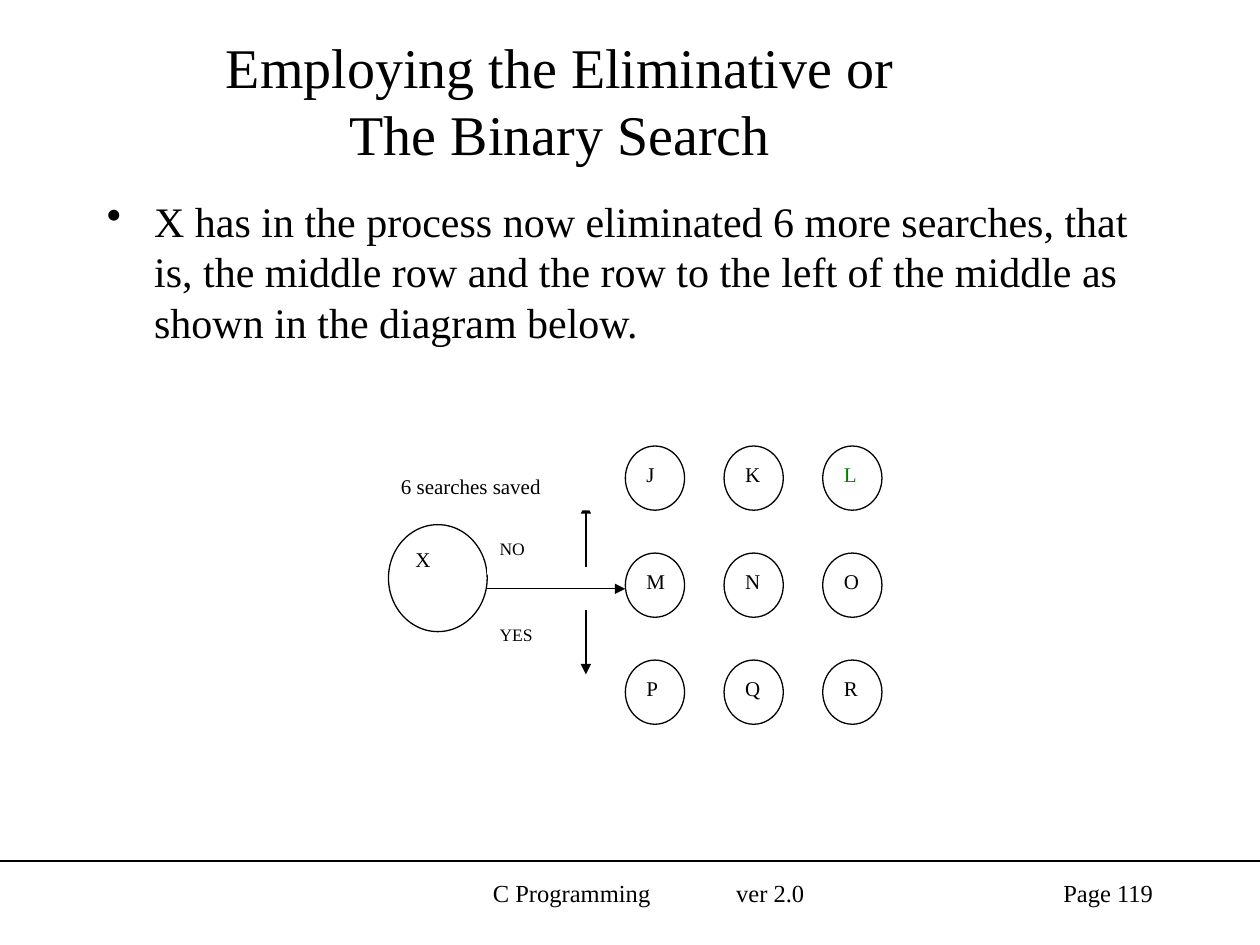
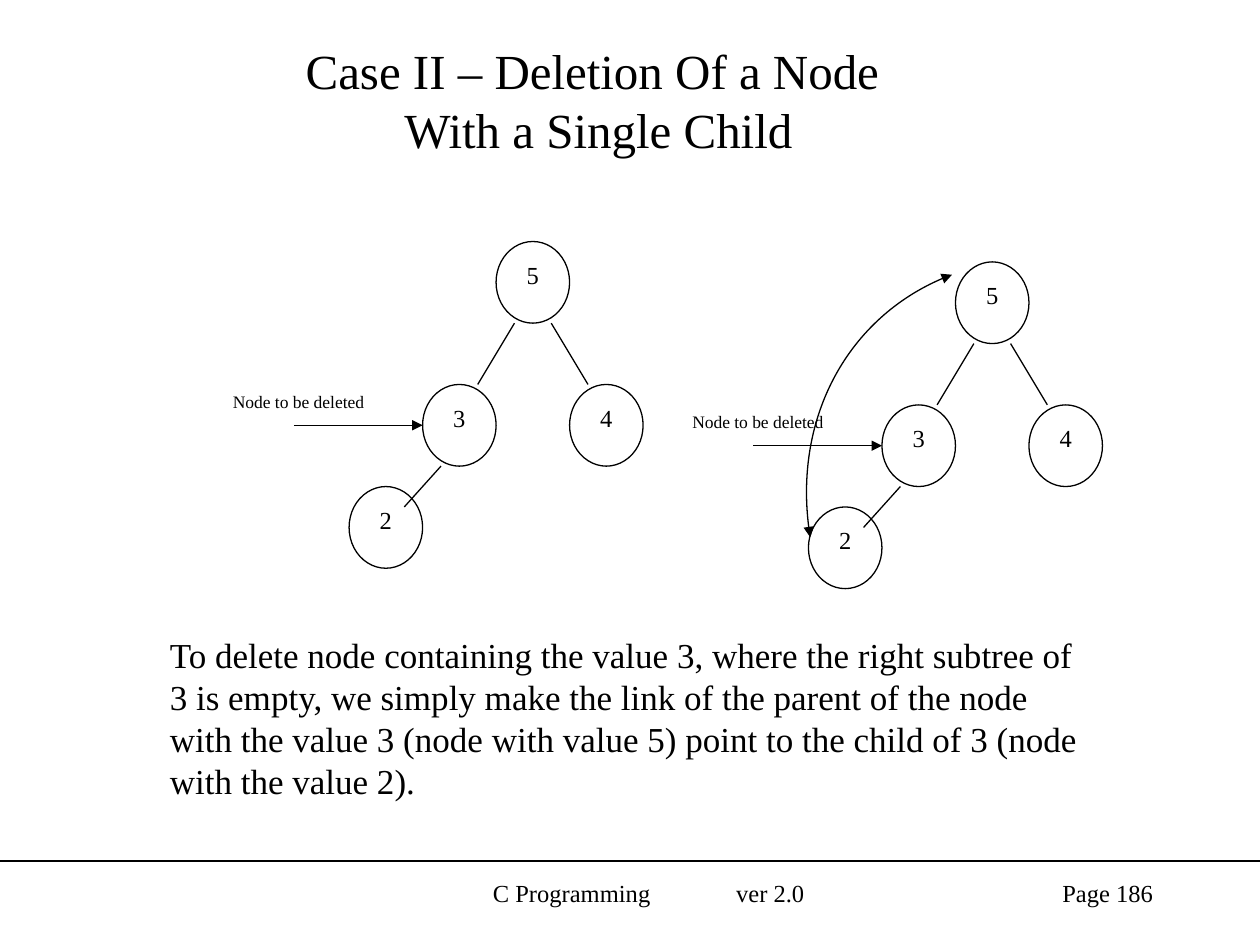
from dataclasses import dataclass
from typing import NamedTuple

from lxml import etree
from pptx import Presentation
from pptx.dml.color import RGBColor
from pptx.enum.shapes import MSO_CONNECTOR as CONN, MSO_SHAPE as SHAPE
from pptx.enum.text import MSO_ANCHOR as ANCHOR, PP_ALIGN as ALIGN
from pptx.oxml.ns import qn
from pptx.util import Pt

FONT = "Times New Roman"
BLACK, WHITE, GREEN = "000000", "FFFFFF", "008000"
LINE_WIDTH = 0.75


class Box(NamedTuple):
    x: float
    y: float
    w: float
    h: float


class Link(NamedTuple):
    x1: float
    y1: float
    x2: float
    y2: float
    arrow: bool = False


@dataclass(frozen=True)
class Style:
    size: float
    color: str = BLACK
    align: ALIGN = ALIGN.LEFT


@dataclass(frozen=True)
class Grid:
    x: float
    y: float
    dx: float
    dy: float

    def box(self, col: float, row: float, cols: float, rows: float) -> Box:
        return Box(self.x + col * self.dx, self.y + row * self.dy,
                   cols * self.dx, rows * self.dy)

    def link(self, ends: Link) -> Link:
        return Link(self.x + ends.x1 * self.dx, self.y + ends.y1 * self.dy,
                    self.x + ends.x2 * self.dx, self.y + ends.y2 * self.dy, ends.arrow)


TITLE_SIZE = Box(0, 18, 612, 78)
FOOTER = Box(246, 498, 246, 36)
PAGE = Box(516, 498, 150, 36)
RULE = Link(0, 492, 720, 492)

SEARCH_GRID = Grid(222, 254.9, 11.28, 12.23)
SEARCH_ROWS = ("JKL", "MNO", "PQR")
SEARCH_ARROWS = (
    Link(5, 6.67, 12, 6.67, True),
    Link(10, 5.67, 10, 2.67, True),
    Link(10, 7.67, 10, 10.67, True),
)

TREE_GRIDS = (Grid(126, 138, 10.5, 11.67), Grid(388.5, 149.67, 10.5, 11.67))
TREE_NODES = (("5", 15, 0), ("4", 19, 7), ("3", 11, 7), ("2", 7, 12))
TREE_LINKS = (
    Link(16, 4, 14, 7),
    Link(18, 4, 20, 7),
    Link(12, 11, 10, 13),
    Link(4, 9, 11, 9, True),
)
NEW_LINK = ((463, 306.7), (452.2, 241.2), (486.7, 177.8), (544.3, 157))


def rgb(color: str) -> RGBColor:
    return RGBColor.from_string(color)


def pts(values: tuple) -> list:
    return [Pt(v) for v in values]


def write(s, text: str, style: Style, anchor: ANCHOR = ANCHOR.TOP):
    tf = s.text_frame
    tf.word_wrap = True
    tf.vertical_anchor = anchor
    p = tf.paragraphs[0]
    p.alignment = style.align
    for i, part in enumerate(text.split("\n")):
        if i:
            p.add_line_break()
        r = p.add_run()
        r.text = part
        r.font.name = FONT
        r.font.size = Pt(style.size)
        r.font.color.rgb = rgb(style.color)
    return p


def add_text(sp, box: Box, text: str, style: Style, anchor: ANCHOR = ANCHOR.TOP):
    s = sp.add_textbox(*pts(box))
    write(s, text, style, anchor)
    return s


def add_node(sp, box: Box, text: str, style: Style) -> None:
    s = sp.add_shape(SHAPE.OVAL, *pts(box))
    s.shadow.inherit = False
    s.fill.solid()
    s.fill.fore_color.rgb = rgb(WHITE)
    set_line(s)
    write(s, text, style)


def add_label(sp, box: Box, text: str, size: float) -> None:
    s = add_text(sp, box, text, Style(size))
    s.fill.solid()
    s.fill.fore_color.rgb = rgb(WHITE)


def set_line(s, *arrow_ends: str) -> None:
    s.line.color.rgb = rgb(BLACK)
    s.line.width = Pt(LINE_WIDTH)
    ln = s.line._get_or_add_ln()
    for end in arrow_ends:
        etree.SubElement(ln, qn(f"a:{end}"), type="triangle")


def add_link(sp, link: Link) -> None:
    s = sp.add_connector(CONN.STRAIGHT, *pts(link[:4]))
    set_line(s, *(["tailEnd"] if link.arrow else []))
    etree.SubElement(s._element.spPr, qn("a:effectLst"))


def add_curve(sp, points: tuple) -> None:
    builder = sp.build_freeform(*points[0], scale=Pt(1))
    builder.add_line_segments(points[1:], close=False)
    s = builder.convert_to_shape()
    s.fill.background()
    set_line(s, "headEnd", "tailEnd")
    s.shadow.inherit = False
    outline = s._element.spPr.find(".//" + qn("a:path"))
    curve = etree.SubElement(outline, qn("a:cubicBezTo"))
    for segment in outline.findall(qn("a:lnTo")):
        curve.append(segment[0])
        outline.remove(segment)


def add_bullet(sp, box: Box, text: str, size: float) -> None:
    p = write(sp.add_textbox(*pts(box)), text, Style(size))
    pPr = p._p.get_or_add_pPr()
    pPr.set("marL", str(Pt(27)))
    pPr.set("indent", str(-Pt(27)))
    etree.SubElement(pPr, qn("a:buChar"), char="•")


def add_footer(sp, page: int) -> None:
    add_link(sp, RULE)
    s = add_text(sp, FOOTER, "C Programming\tver 2.0", Style(14))
    s.text_frame.margin_left = Pt(35.7)
    pPr = s.text_frame.paragraphs[0]._p.get_or_add_pPr()
    tabs = etree.SubElement(pPr, qn("a:tabLst"))
    etree.SubElement(tabs, qn("a:tab"), pos=str(Pt(139)), algn="l")
    add_text(sp, PAGE, f"Page {page}", Style(14, align=ALIGN.RIGHT))


def add_slide(prs, title: str, title_x: float, size: float, page: int):
    sp = prs.slides.add_slide(prs.slide_layouts[6]).shapes
    add_footer(sp, page)
    add_text(sp, TITLE_SIZE._replace(x=title_x), title,
             Style(size, align=ALIGN.CENTER), ANCHOR.MIDDLE)
    return sp


def build_search(prs) -> None:
    sp = add_slide(prs, "Employing the Eliminative or \nThe Binary Search ", 18, 32, 119)
    add_bullet(sp, Box(54, 108, 612, 372),
               "X has in the process now eliminated 6 more searches, that is, the middle row "
               "and the row to the left of the middle as shown in the diagram below.", 24)
    grid = SEARCH_GRID
    for row, letters in enumerate(SEARCH_ROWS):
        for col, letter in enumerate(letters):
            color = GREEN if letter == "L" else BLACK
            add_node(sp, grid.box(12 + 5 * col, 5 * row, 3, 3), letter, Style(12, color))
    add_node(sp, grid.box(0, 3.67, 5, 5), "X", Style(12))
    for arrow in SEARCH_ARROWS:
        add_link(sp, grid.link(arrow))
    add_label(sp, grid.box(0, 1, 11, 2), "6 searches saved", 12)
    add_label(sp, grid.box(5, 4, 4, 2), "NO", 10)
    add_label(sp, grid.box(5, 8, 4, 2), "YES", 10)


def build_deletion(prs) -> None:
    sp = add_slide(prs, "Case II – Deletion Of a Node \nWith a Single Child", 36, 28, 186)
    for grid in TREE_GRIDS:
        add_label(sp, grid.box(0, 7, 12, 2), "Node to be deleted", 10)
        for value, col, row in TREE_NODES:
            add_node(sp, grid.box(col, row, 4, 4), value, Style(14, align=ALIGN.CENTER))
        for link in TREE_LINKS:
            add_link(sp, grid.link(link))
    add_curve(sp, NEW_LINK)
    add_text(sp, Box(90, 358.6, 540, 103.7),
             "To delete node containing the value 3, where the right subtree of 3 is empty, "
             "we simply make the link of the parent of the node with the value 3 (node with "
             "value 5) point to the child of 3 (node with the value 2).", Style(20))


def main() -> None:
    prs = Presentation()
    prs.slide_width, prs.slide_height = Pt(720), Pt(540)
    build_search(prs)
    build_deletion(prs)
    prs.save("out.pptx")


if __name__ == "__main__":
    main()
